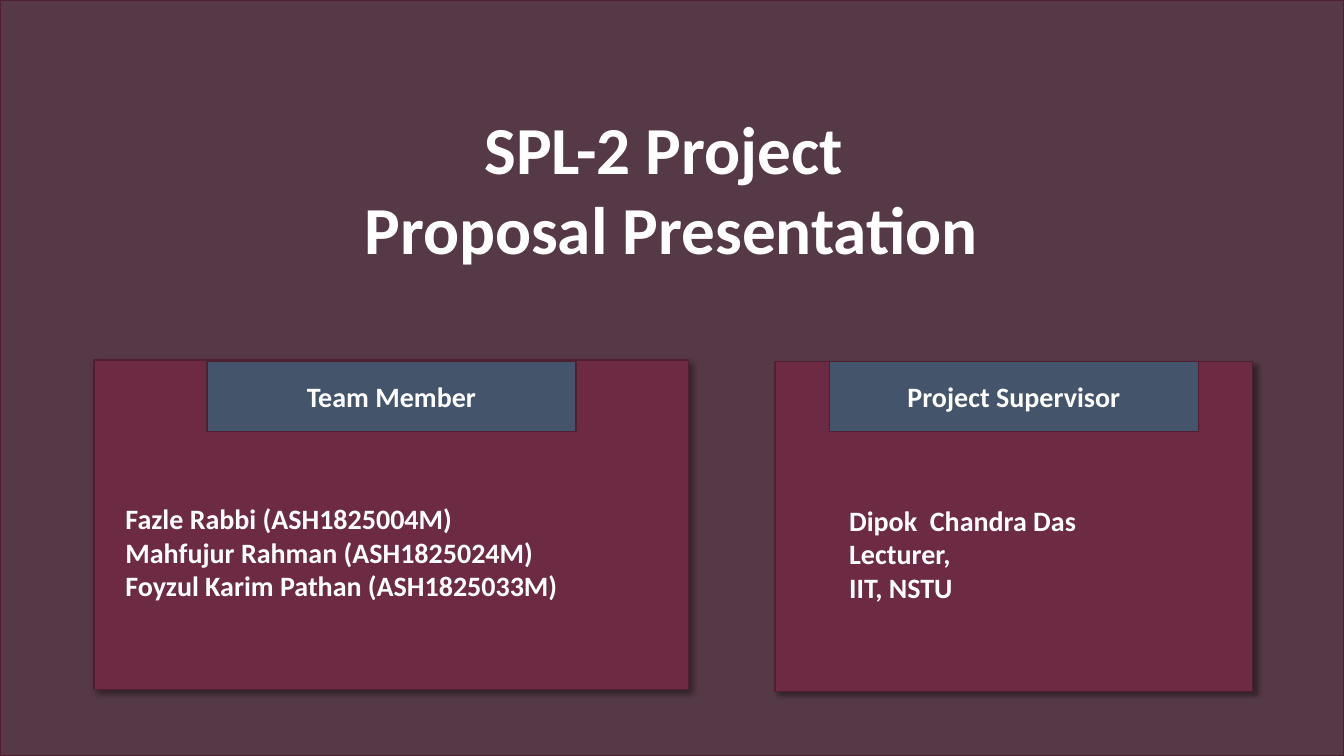
from lxml import etree
from pptx import Presentation
from pptx.dml.color import RGBColor
from pptx.enum.shapes import MSO_SHAPE
from pptx.enum.text import MSO_ANCHOR, MSO_AUTO_SIZE, PP_ALIGN
from pptx.oxml import parse_xml
from pptx.oxml.ns import nsdecls, qn
from pptx.util import Pt

RECTANGLE = MSO_SHAPE.RECTANGLE
TOP, MIDDLE = MSO_ANCHOR.TOP, MSO_ANCHOR.MIDDLE
LEFT, CENTER = PP_ALIGN.LEFT, PP_ALIGN.CENTER
FIT_SHAPE = MSO_AUTO_SIZE.SHAPE_TO_FIT_TEXT

THEME = {
    "font": "Calibri",
    "backdrop": "553946",
    "card": "6C2B43",
    "tab": "44546A",
    "outline": "502032",
    "text": "FFFFFF",
    "title_size": 48,
    "body_size": 20,
}
SLIDE_WIDTH, SLIDE_HEIGHT = 960, 540
TAB_TOP, TAB_WIDTH, TAB_HEIGHT = 258.2, 263.5, 50.2
CARD_HEIGHT, BODY_OFFSET, BODY_HEIGHT = 235.5, 97.4, 80


def add_panel(slide, box, color):
    """Add an outlined rectangle without a shadow."""
    shape = slide.shapes.add_shape(RECTANGLE, *map(Pt, box))
    shape.shadow.inherit = False
    shape.fill.solid()
    shape.fill.fore_color.rgb = RGBColor.from_string(THEME[color])
    shape.line.color.rgb = RGBColor.from_string(THEME["outline"])
    shape.line.width = Pt(1)
    return shape


def write_lines(shape, lines, size, alignment=LEFT, anchor=TOP):
    """Write one bold paragraph per line in the slide's type style."""
    frame = shape.text_frame
    frame.word_wrap = True
    frame.vertical_anchor = anchor
    frame.text = "\n".join(lines)
    font_format = {"name": THEME["font"], "size": Pt(THEME[size]), "bold": True}
    for paragraph in frame.paragraphs:
        paragraph.alignment = alignment
        font = paragraph.runs[0].font
        for name, value in font_format.items():
            setattr(font, name, value)
        font.color.rgb = RGBColor.from_string(THEME["text"])


presentation = Presentation()
presentation.slide_width = Pt(SLIDE_WIDTH)
presentation.slide_height = Pt(SLIDE_HEIGHT)
slide = presentation.slides.add_slide(presentation.slide_layouts[6])

add_panel(slide, (0, 0, SLIDE_WIDTH, SLIDE_HEIGHT), "backdrop")

title = slide.shapes.add_textbox(Pt(181.2), Pt(73), Pt(586), Pt(123.8))
write_lines(title, ["SPL-2 Project", " Proposal Presentation"], "title_size", CENTER)
title.text_frame.auto_size = FIT_SHAPE

# Heading, card left, top and width, body left and width, body lines
cards = [
    ("Team Member", 67.2, 257.2, 424.8, 82.5, 383, [
        "Fazle Rabbi (ASH1825004M)",
        "Mahfujur Rahman (ASH1825024M)",
        "Foyzul Karim Pathan (ASH1825033M)",
    ]),
    ("Project Supervisor", 553.6, 258.4, 341.3, 599.5, 280, [
        "Dipok  Chandra Das",
        "Lecturer,",
        "IIT, NSTU",
    ]),
]
shadow_xml = (
    f'<a:outerShdw {nsdecls("a")} blurRad="{Pt(4)}" dist="{Pt(3)}" dir="2700000" '
    'algn="tl" rotWithShape="0"><a:srgbClr val="000000"><a:alpha val="40000"/>'
    "</a:srgbClr></a:outerShdw>"
)
for heading, left, top, width, body_left, body_width, lines in cards:
    card = add_panel(slide, (left, top, width, CARD_HEIGHT), "card")
    effects = card.element.spPr.find(etree.QName(qn("a:effectLst")))
    effects.append(parse_xml(shadow_xml))

    tab_left = left + (width - TAB_WIDTH) / 2
    tab = add_panel(slide, (tab_left, TAB_TOP, TAB_WIDTH, TAB_HEIGHT), "tab")
    write_lines(tab, [heading], "body_size", CENTER, MIDDLE)

    body = slide.shapes.add_textbox(
        Pt(body_left), Pt(top + BODY_OFFSET), Pt(body_width), Pt(BODY_HEIGHT))
    write_lines(body, lines, "body_size")
    body.text_frame.auto_size = FIT_SHAPE

presentation.save("out.pptx")
